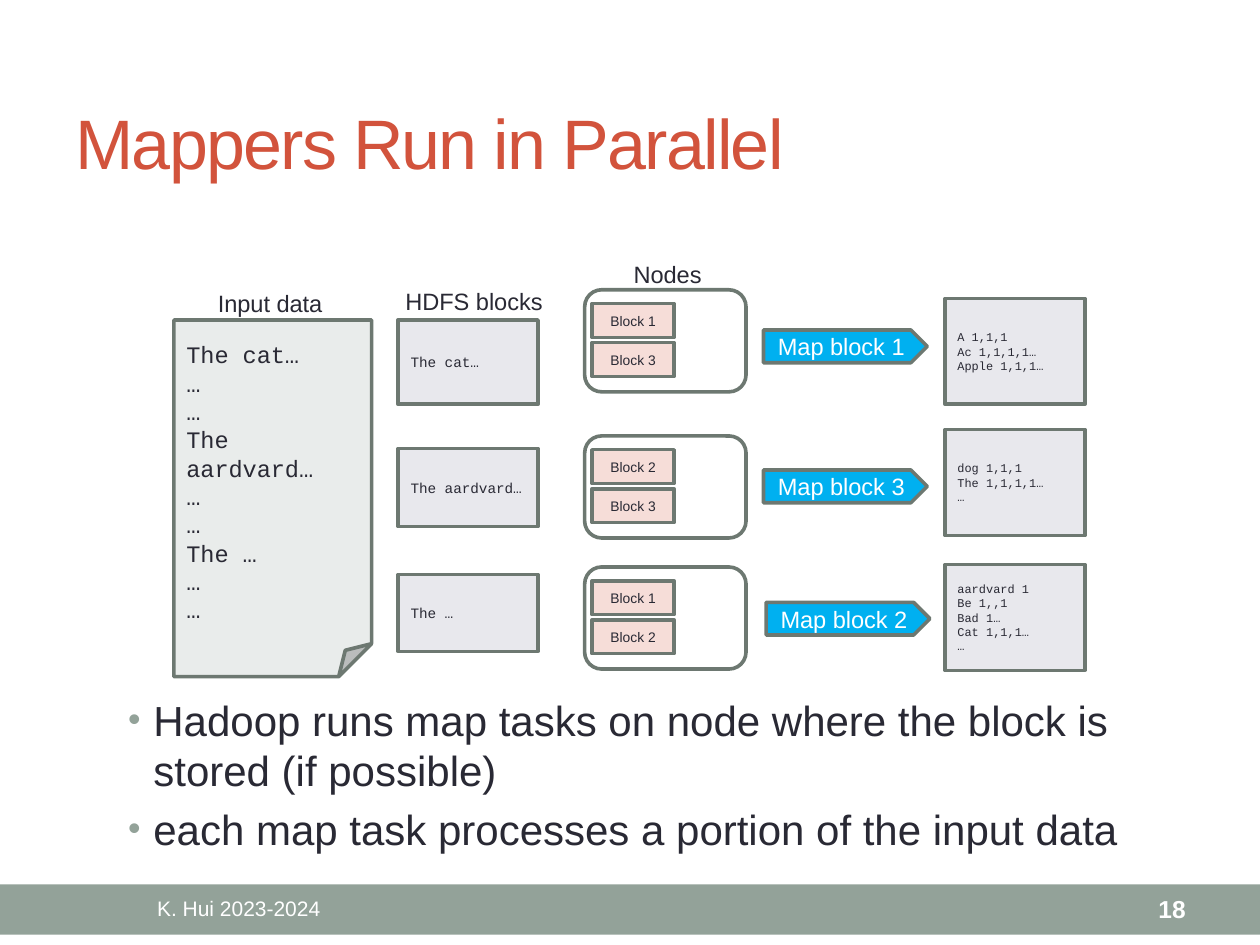
from lxml import etree
from pptx import Presentation
from pptx.dml.color import RGBColor
from pptx.enum.shapes import MSO_SHAPE
from pptx.enum.text import MSO_ANCHOR, PP_ALIGN
from pptx.oxml.ns import qn
from pptx.util import Pt

RECT, ROUNDED = MSO_SHAPE.RECTANGLE, MSO_SHAPE.ROUNDED_RECTANGLE
FOLDED, ARROW = MSO_SHAPE.FOLDED_CORNER, MSO_SHAPE.PENTAGON
LEFT, CENTER, RIGHT = PP_ALIGN.LEFT, PP_ALIGN.CENTER, PP_ALIGN.RIGHT
TOP, MIDDLE = MSO_ANCHOR.TOP, MSO_ANCHOR.MIDDLE

INK = RGBColor(0x29, 0x29, 0x34)
WHITE = RGBColor(0xFF, 0xFF, 0xFF)
RUST = RGBColor(0xD2, 0x53, 0x3C)
SAGE = RGBColor(0x93, 0xA2, 0x99)
OUTLINE = RGBColor(0x6D, 0x78, 0x71)
PAPER = RGBColor(0xE9, 0xEC, 0xEB)
LAVENDER = RGBColor(0xE8, 0xE8, 0xED)
PINK = RGBColor(0xF6, 0xDD, 0xD8)
BLUE = RGBColor(0x00, 0xB0, 0xF0)

SANS, MONO = "Arial", "Courier New"
LABEL = {"name": SANS, "size": Pt(13.5)}
BLOCK = {"name": SANS, "size": Pt(7.9)}
INPUT = {"name": MONO, "size": Pt(13.5)}
SPLIT = {"name": MONO, "size": Pt(8.2)}
OUTPUT = {"name": MONO, "size": Pt(6.8)}

INPUT_LINES = ["The cat…", "…", "…", "The aardvard…", "…", "…", "The …", "…", "…"]
# Top and height of each block, then its text
HDFS_BLOCKS = [(182.9, 48.2, "The cat…"), (256.3, 44.6, "The aardvard…"),
               (328.3, 43.9, "The …")]
# Top of each node, then the blocks it stores
NODES = [(165.6, ["Block 1", "Block 3"]), (249.1, ["Block 2", "Block 3"]),
         (324, ["Block 1", "Block 2"])]
# Left and top of each arrow, its label, then top and lines of its result
MAPPERS = [
    (436.3, 188.6, "Map block 1", 170.6, ["A 1,1,1", "Ac 1,1,1,1…", "Apple 1,1,1…"]),
    (436.3, 268.6, "Map block 3", 245.5, ["dog 1,1,1", "The 1,1,1,1…", "…"]),
    (437.8, 344.2, "Map block 2", 322.6,
     ["aardvard 1", "Be 1,,1", "Bad 1…", "Cat 1,1,1…", "…"]),
]


def write(shape, lines, font, color=INK, align=LEFT, anchor=MIDDLE, wrap=True):
    frame = shape.text_frame
    frame.word_wrap = wrap
    frame.vertical_anchor = anchor
    for number, line in enumerate(lines):
        para = frame.paragraphs[0] if number == 0 else frame.add_paragraph()
        para.alignment = align
        span = para.add_run()
        span.text = line
        for key, value in font.items():
            setattr(span.font, key, value)
        span.font.color.rgb = color
    return frame


def add_text(page, box, lines, font, **options):
    shape = page.shapes.add_textbox(*map(Pt, box))
    return write(shape, lines, font, **options)


def add_figure(page, kind, box, fill=None, line=OUTLINE):
    shape = page.shapes.add_shape(kind, *map(Pt, box))
    shape.shadow.inherit = False
    if fill is None:
        shape.fill.background()
    else:
        shape.fill.solid()
        shape.fill.fore_color.rgb = fill
    if line is None:
        shape.line.fill.background()
    else:
        shape.line.color.rgb = line
        shape.line.width = Pt(2.08)
    return shape


def add_bullet(para):
    props = para._p.get_or_add_pPr()
    props.set("marL", str(Pt(14.4)))
    props.set("indent", str(-Pt(14.4)))
    color = etree.SubElement(props, qn("a:buClr"))
    etree.SubElement(color, qn("a:srgbClr"), val=str(SAGE))
    etree.SubElement(props, qn("a:buSzPct"), val="85000")
    etree.SubElement(props, qn("a:buFont"), typeface=SANS)
    etree.SubElement(props, qn("a:buChar"), char="•")


def add_title(page, box):
    frame = add_text(page, box, ["Mappers Run in Parallel"],
                     {"name": SANS, "size": Pt(40)}, color=RUST)
    frame.paragraphs[0].runs[0].font._element.set("spc", "-100")


def add_body(page, box):
    frame = add_text(page, box, [
        "Hadoop runs map tasks on node where the block is stored (if possible)",
        "each map task processes a portion of the input data",
    ], {"name": SANS, "size": Pt(24)}, anchor=TOP)
    for para in frame.paragraphs:
        add_bullet(para)
    frame.paragraphs[1].space_before = Pt(4.8)


def add_footer(page, box):
    left, top, width, height = box
    add_figure(page, RECT, box, SAGE, line=None)
    add_text(page, (left + 36, top + 0.7, 200.9, 25.9), ["K. Hui 2023-2024"],
             {"name": SANS, "size": Pt(12)}, color=WHITE, align=CENTER)
    add_text(page, (left + width - 119.5, top + 0.7, 84.2, 25.9), ["18"],
             {"name": SANS, "size": Pt(14), "bold": True}, color=WHITE, align=RIGHT)


def add_node(page, box, blocks):
    left, top, _, _ = box
    add_figure(page, ROUNDED, box)
    for number, name in enumerate(blocks):
        block = add_figure(page, RECT, (left + 4.3, top + 7.9 + 22.3 * number, 46.8, 19.4), PINK)
        write(block, [name], BLOCK, align=CENTER)


def add_mapper(page, arrow_box, name, result_box, lines):
    write(add_figure(page, ARROW, arrow_box, BLUE), [name], LABEL, color=WHITE, align=CENTER)
    write(add_figure(page, RECT, result_box, LAVENDER), lines, OUTPUT)


def add_diagram(page):
    for left, top, width, name in [(117.4, 161.3, 74.9, "Input data"),
                                   (224.6, 160.6, 94.3, "HDFS blocks"),
                                   (355, 144.7, 54, "Nodes")]:
        add_text(page, (left, top, width, 23.8), [name], LABEL, anchor=TOP, wrap=False)
    write(add_figure(page, FOLDED, (99.4, 182.9, 113, 203.8), PAPER), INPUT_LINES, INPUT)
    for top, height, text in HDFS_BLOCKS:
        write(add_figure(page, RECT, (227.5, top, 79.9, height), LAVENDER), [text], SPLIT)
    for top, blocks in NODES:
        add_node(page, (334.1, top, 92.2, 58.3), blocks)
    for left, top, name, result_top, lines in MAPPERS:
        add_mapper(page, (left, top, 93.6, 18.7), name, (540, result_top, 79.9, 60.5), lines)


def main():
    deck = Presentation()
    deck.slide_width, deck.slide_height = Pt(720), Pt(540)
    page = deck.slides.add_slide(deck.slide_layouts[6])
    add_footer(page, (0, 505.4, 720, 28.8))
    add_title(page, (36, 41.8, 648, 77.8))
    add_body(page, (66.2, 393.1, 581, 94.3))
    add_diagram(page)
    deck.save("out.pptx")


if __name__ == "__main__":
    main()
